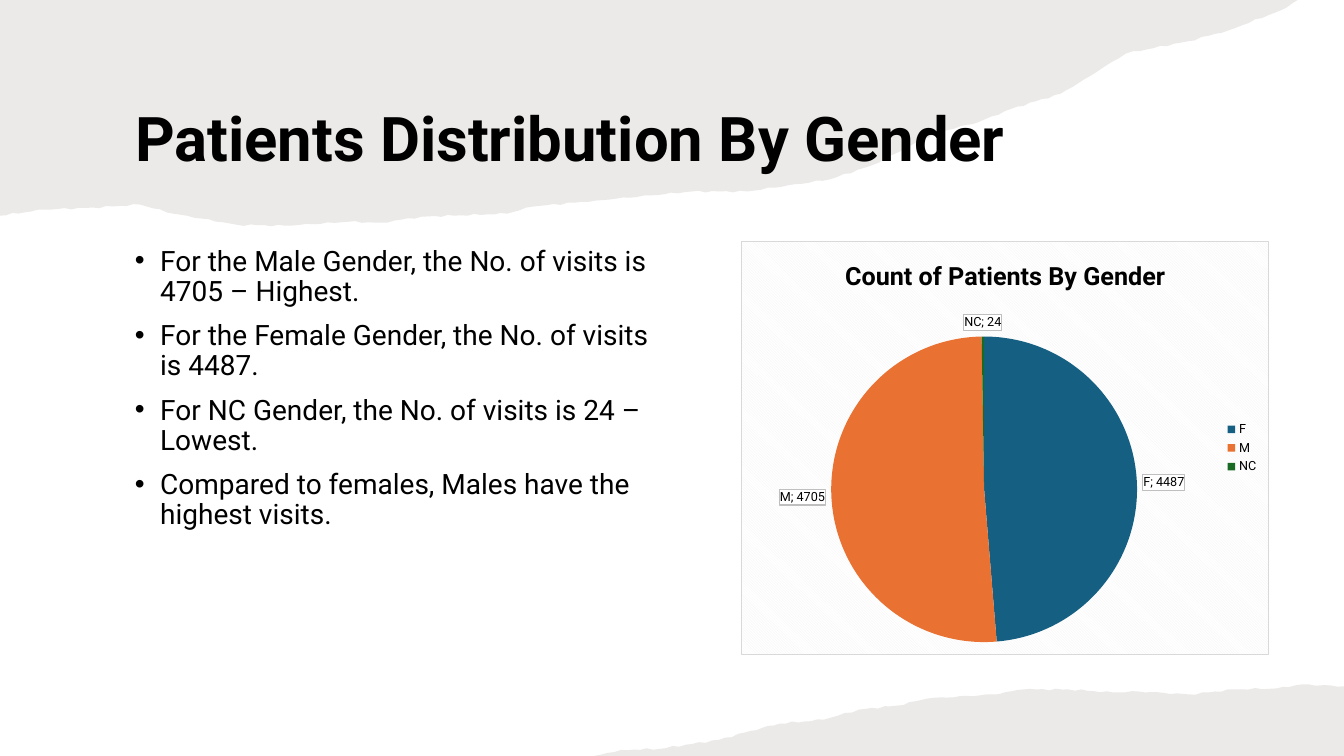
from math import ceil, sin
from itertools import pairwise
from lxml.etree import SubElement
from pptx import Presentation
from pptx.chart.data import CategoryChartData
from pptx.dml.color import RGBColor
from pptx.enum.chart import XL_CHART_TYPE, XL_LABEL_POSITION, XL_LEGEND_POSITION
from pptx.enum.text import MSO_ANCHOR, MSO_AUTO_SIZE, PP_ALIGN
from pptx.oxml import parse_xml
from pptx.oxml.ns import nsdecls, qn
from pptx.util import Inches, Pt

BLACK, WHITE, PAPER = "000000", "FFFFFF", "82766A"
STEP, ROUGH = 0.07, 0.01  # length of one nick in the paper, and its depth


def paint(color, value):
    color.rgb = RGBColor.from_string(value)


def style(font, size, bold=False):
    font.name, font.size, font.bold = "Roboto", Pt(size), bold
    paint(font.color, BLACK)


prs = Presentation()
prs.slide_width, prs.slide_height = Inches(13.33), Inches(7.5)
slide = prs.slides.add_slide(prs.slide_layouts[5])
shapes = slide.shapes

# Torn paper: the slide corner each sheet fills, and the main bends of its tear
sheets = [
    ((0, 0), [
        (12.87, 0), (12.71, 0.1), (12.19, 0.3), (11.78, 0.41), (11.17, 0.53),
        (10.75, 0.79), (10.52, 0.93), (10.03, 1.08), (9.71, 1.21), (9.28, 1.32),
        (8.65, 1.64), (8.23, 1.78), (7.41, 1.9), (6.86, 1.9), (5.91, 1.99),
        (5.28, 2.05), (5.03, 2.12), (4.18, 2.15), (3.78, 2.21), (3.46, 2.2),
        (2.83, 2.24), (2.35, 2.23), (1.72, 2.12), (1.39, 2.03), (0.92, 2.06),
        (0.43, 2.08), (0, 2.14)]),
    ((13.33, 7.5), [
        (5.89, 7.5), (6.16, 7.44), (6.54, 7.43), (7.13, 7.34), (7.45, 7.25),
        (7.73, 7.18), (8.17, 7.14), (8.52, 7.04), (8.9, 7), (9.2, 6.93),
        (9.85, 6.89), (10.15, 6.84), (10.6, 6.84), (11.04, 6.87), (11.29, 6.86),
        (11.8, 6.89), (12.24, 6.84), (12.66, 6.83), (12.91, 6.79), (13.33, 6.81)]),
]
for corner, bends in sheets:
    tear = []
    for (x1, y1), (x2, y2) in pairwise(bends):
        count = ceil(abs(x2 - x1) / STEP)
        for k in range(count):
            x = x1 + (x2 - x1) * k / count
            y = y1 + (y2 - y1) * k / count
            nick = ROUGH * sin(37 * x) * sin(11 * x) if k else 0
            tear.append((Inches(x), Inches(y + nick)))
    tear.append((Inches(bends[-1][0]), Inches(bends[-1][1])))
    pen = shapes.build_freeform(Inches(corner[0]), Inches(corner[1]))
    pen.add_line_segments(tear, close=True)
    sheet = pen.convert_to_shape()
    sheet.shadow.inherit = False
    sheet.line.fill.background()
    sheet.fill.solid()
    paint(sheet.fill.fore_color, PAPER)
    tint = next(sheet._element.spPr.iter(qn("a:srgbClr")))
    SubElement(tint, qn("a:alpha"), val="15000")

# Title, in front of the paper
title = shapes.title
shapes._spTree.append(title._element)
title.left, title.top = Inches(1.24), Inches(0.67)
title.width, title.height = Inches(10.27), Inches(1.46)
frame = title.text_frame
frame.text = "Patients Distribution By Gender"
frame.vertical_anchor = MSO_ANCHOR.MIDDLE
frame.auto_size = MSO_AUTO_SIZE.NONE
head = frame.paragraphs[0]
head.alignment, head.line_spacing = PP_ALIGN.LEFT, 0.9
style(head.runs[0].font, 44, True)

# Bulleted findings
notes = [
    "For the Male Gender, the No. of visits is 4705 – Highest.",
    "For the Female Gender, the No. of visits is 4487.",
    "For NC Gender, the No. of visits is 24 – Lowest.",
    "Compared to females, Males have the highest visits.",
]
body = shapes.add_textbox(Inches(1.24), Inches(2.4), Inches(5.42), Inches(4.28))
frame = body.text_frame
frame.word_wrap = True
frame.text = "\n".join(notes)
for para in frame.paragraphs:
    para.line_spacing, para.space_before = 0.9, Pt(10)
    style(para.runs[0].font, 20)
    props = para._p.get_or_add_pPr()
    props.set("marL", str(Inches(0.25)))
    props.set("indent", str(-Inches(0.25)))
    SubElement(props, qn("a:buFont"), typeface="Arial")
    SubElement(props, qn("a:buChar"), char="•")

# Pie chart: visits and colour of each gender
genders = [("F", 4487, "156082"), ("M", 4705, "E97132"), ("NC", 24, "196B24")]
names, counts, hues = zip(*genders)
data = CategoryChartData()
data.categories = names
data.add_series("Series 1", counts)
chart = shapes.add_chart(XL_CHART_TYPE.PIE, Inches(7.35), Inches(2.39),
                         Inches(5.24), Inches(4.11), data).chart
style(chart.font, 10)
chart.has_title = True
heading = chart.chart_title.text_frame
heading.text = "Count of Patients By Gender"
style(heading.paragraphs[0].runs[0].font, 18, True)
chart.has_legend = True
chart.legend.position = XL_LEGEND_POSITION.RIGHT
chart.legend.include_in_layout = False
style(chart.legend.font, 9)

plot = chart.plots[0]
plot.vary_by_categories = True
pie = plot.series[0]
for i, hue in enumerate(hues):
    fill = pie.points[i].format.fill
    fill.solid()
    paint(fill.fore_color, hue)

# Labels outside the slices
labels = pie.data_labels
labels.show_value = labels.show_category_name = True
labels.position = XL_LABEL_POSITION.OUTSIDE_END
style(labels.font, 9)
tags = labels._element
tags.find(qn("c:showBubbleSize")).addnext(
    parse_xml(f'<c:separator {nsdecls("c")}>; </c:separator>'))

# Fill and thin border: white label boxes, striped chart background
space = chart._chartSpace
plain = f'<a:solidFill><a:srgbClr val="{WHITE}"/></a:solidFill>'
stripes = ('<a:pattFill prst="dkDnDiag"><a:fgClr><a:srgbClr val="F2F2F2"/></a:fgClr>'
           f'<a:bgClr><a:srgbClr val="{WHITE}"/></a:bgClr></a:pattFill>')
for owner, inside, border in [(tags, plain, "BFBFBF"), (space, stripes, "D9D9D9")]:
    owner.find(qn("c:txPr")).addprevious(parse_xml(
        f'<c:spPr {nsdecls("c", "a")}>{inside}<a:ln w="{Pt(0.75)}"><a:solidFill>'
        f'<a:srgbClr val="{border}"/></a:solidFill></a:ln></c:spPr>'))

# Place of the pie, as shares of the chart
area = space.chart.plotArea
for old in area.findall(qn("c:layout")):
    area.remove(old)
layout = SubElement(area, qn("c:layout"))
area.insert(0, layout)
manual = SubElement(layout, qn("c:manualLayout"))
place = {"layoutTarget": "inner", "xMode": "edge", "yMode": "edge",
         "x": 0.17, "y": 0.23, "w": 0.58, "h": 0.74}
for key, val in place.items():
    SubElement(manual, qn(f"c:{key}"), val=str(val))

prs.save("out.pptx")
